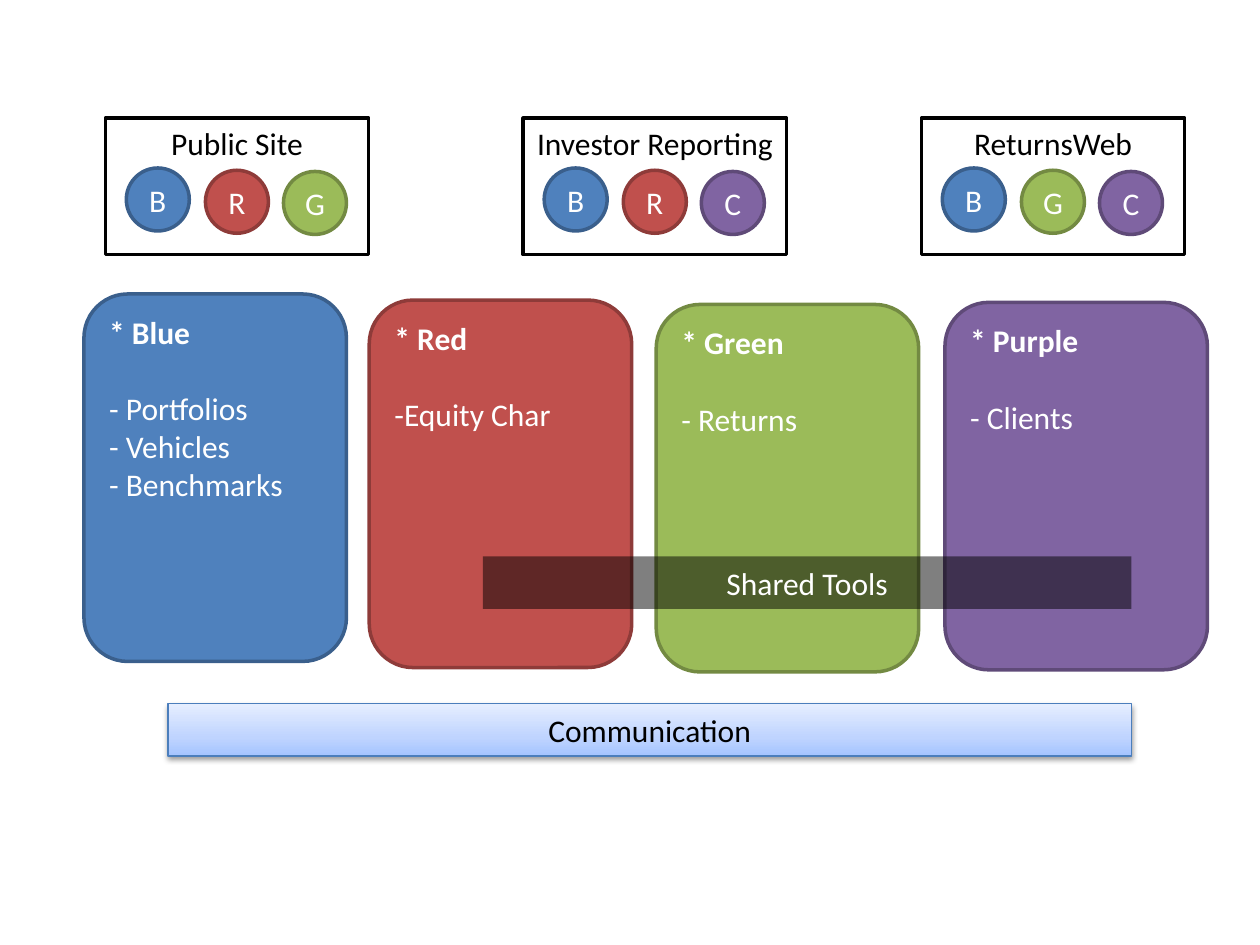
from lxml import etree
from pptx import Presentation
from pptx.dml.color import RGBColor
from pptx.enum import shapes, text
from pptx.oxml import parse_xml
from pptx.oxml.ns import nsdecls, qn
from pptx.util import Pt

KIND = shapes.MSO_SHAPE
MID, TOP = text.MSO_ANCHOR.MIDDLE, text.MSO_ANCHOR.TOP
LEFT, MIDDLE = text.PP_ALIGN.LEFT, text.PP_ALIGN.CENTER
WHITE, BLACK = "FFFFFF", "000000"

# letter: fill, line
HUES = {
    "B": ("4F81BD", "3A5F8C"),
    "R": ("C0504D", "8E3B39"),
    "G": ("9BBB59", "738A42"),
    "C": ("8064A2", "5F4A78"),
}
# hue, left, top, lines
CARDS = [
    ("B", 48, 168, ["* Blue", "- Portfolios", "- Vehicles", "- Benchmarks"]),
    ("R", 211, 171.5, ["* Red", "-Equity Char"]),
    ("G", 375, 174, ["* Green", "- Returns"]),
    ("C", 540, 172.8, ["* Purple", "- Clients"]),
]
# title, left, letters
SITES = [
    ("Public Site", 60.2, "BRG"),
    ("Investor Reporting", 299, "BRC"),
    ("ReturnsWeb", 526.5, "BGC"),
]
SITE_TOP = 67.5
DOTS = [(12, 28.5), (57.2, 29.8), (101.8, 30.5)]
STOPS = [(0, "A4C4FF"), (35, "BFD4FF"), (100, "E6EEFF")]


def rgb(code):
    """Turn a hex string into a colour."""
    return RGBColor.from_string(code)


def block(kind, box, fill, line, lines, ink=WHITE, anchor=MID, align=MIDDLE,
          width=2):
    """Add one shape with fill, outline and text."""
    item = slide.shapes.add_shape(kind, *map(Pt, box))
    item.shadow.inherit = False
    item.fill.solid()
    item.fill.fore_color.rgb = rgb(fill)
    if line:
        item.line.color.rgb = rgb(line)
        item.line.width = Pt(width)
    else:
        item.line.fill.background()
    frame = item.text_frame
    frame.text = "\n".join(lines)
    frame.vertical_anchor = anchor
    for para in frame.paragraphs:
        para.alignment = align
        font = para.runs[0].font
        font.name, font.size = "Calibri", Pt(18)
        font.color.rgb = rgb(ink)
    return item


def shade(item):
    """Give a shape the rising gradient and a soft shadow below."""
    props = item.fill._xPr
    stops = "".join(f'<a:gs pos="{pos * 1000}"><a:srgbClr val="{code}"/></a:gs>'
                    for pos, code in STOPS)
    grad = parse_xml(f'<a:gradFill {nsdecls("a")} rotWithShape="1"><a:gsLst>'
                     f'{stops}</a:gsLst><a:lin ang="16200000" scaled="0"/>'
                     '</a:gradFill>')
    props.replace(props.find(qn("a:solidFill")), grad)
    cast = parse_xml(f'<a:outerShdw {nsdecls("a")} blurRad="{Pt(3.1)}" '
                     f'dist="{Pt(1.6)}" dir="5400000" rotWithShape="0">'
                     '<a:srgbClr val="000000"><a:alpha val="38000"/>'
                     '</a:srgbClr></a:outerShdw>')
    props.find(qn("a:effectLst")).append(cast)


def fade(item, share):
    """Make a solid fill partly clear; share is its opacity in percent."""
    tone = item.fill._xPr.find(qn("a:solidFill")).find(qn("a:srgbClr"))
    etree.SubElement(tone, qn("a:alpha")).set("val", str(share * 1000))


deck = Presentation()
deck.slide_width, deck.slide_height = Pt(720), Pt(540)
slide = deck.slides.add_slide(deck.slide_layouts[6])

for hue, left, top, lines in CARDS:
    card = block(KIND.ROUNDED_RECTANGLE, (left, top, 150, 210), *HUES[hue],
                 lines, anchor=TOP, align=LEFT)
    head = card.text_frame.paragraphs[0]
    head.runs[0].font.bold = True
    head.space_after = Pt(22)

for title, left, letters in SITES:
    block(KIND.RECTANGLE, (left, SITE_TOP, 150.5, 78), WHITE, BLACK, [title],
          ink=BLACK, anchor=TOP)
    for letter, (across, down) in zip(letters, DOTS):
        block(KIND.OVAL, (left + across, SITE_TOP + down, 36, 36),
              *HUES[letter], [letter])

shade(block(KIND.RECTANGLE, (96, 402, 550.5, 30), WHITE, "4B7EBC",
            ["Communication"], ink=BLACK, width=0.75))
fade(block(KIND.RECTANGLE, (276, 318, 370.5, 30), BLACK, None,
           ["Shared Tools"]), 50)

deck.save("out.pptx")
